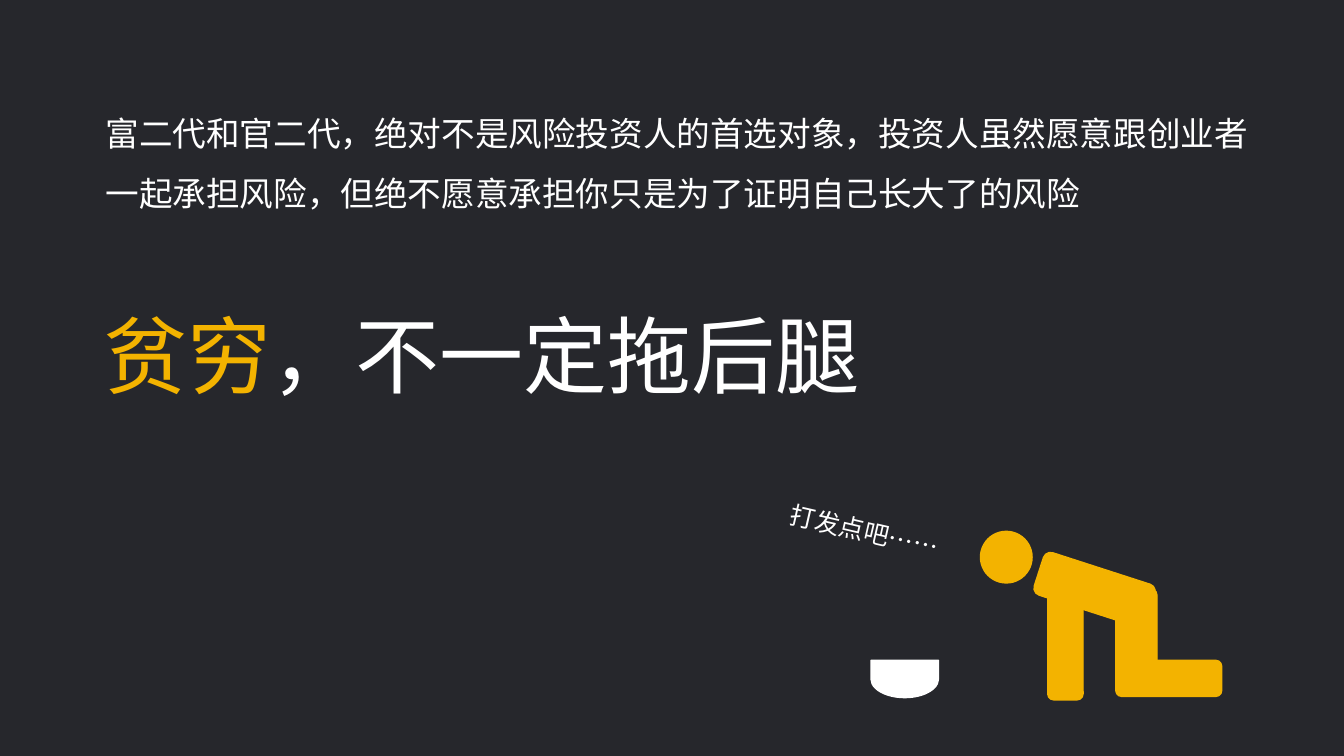
from dataclasses import dataclass

from lxml.etree import SubElement
from pptx import Presentation
from pptx.dml.color import RGBColor
from pptx.enum.shapes import MSO_SHAPE as Preset
from pptx.enum.text import MSO_AUTO_SIZE as AutoSize
from pptx.oxml.ns import qn
from pptx.slide import Slide
from pptx.util import Cm, Pt

COLORS = {"night": "26272C", "amber": "F3B300", "white": "FFFFFF"}
FONT = "Noto Sans CJK SC"


@dataclass(frozen=True)
class Box:
    left: float
    top: float
    width: float
    height: float
    rotation: float = 0

    def lengths(self) -> tuple[Cm, Cm, Cm, Cm]:
        return Cm(self.left), Cm(self.top), Cm(self.width), Cm(self.height)


@dataclass(frozen=True)
class Part:
    preset: Preset
    box: Box
    color: str = "amber"


@dataclass(frozen=True)
class Words:
    text: str
    color: str = "white"


@dataclass(frozen=True)
class Caption:
    box: Box
    size: int
    paragraphs: list[list[Words]]
    spacing: float = 1.0


BEGGAR = [
    Part(Preset.OVAL, Box(24.71, 13.39, 1.3, 1.3)),
    Part(Preset.ROUNDED_RECTANGLE, Box(26.11, 14.3, 2.95, 1.12, 17.9)),
    Part(Preset.ROUNDED_RECTANGLE, Box(28.12, 14.83, 1.04, 2.41)),
    Part(Preset.ROUNDED_RECTANGLE, Box(28.12, 16.64, 2.67, 0.91)),
    Part(Preset.ROUNDED_RECTANGLE, Box(25.48, 15.82, 2.74, 0.89, 270)),
]
BOWL = Part(Preset.FLOWCHART_DELAY, Box(22.33, 16.26, 0.94, 1.7, 90), "white")

ARGUMENT = Caption(
    Box(2.41, 2.21, 29.59, 3.1),
    24,
    [
        [Words("富二代和官二代，绝对不是风险投资人的首选对象，投资人虽然愿意跟创业者")],
        [Words("一起承担风险，但绝不愿意承担你只是为了证明自己长大了的风险")],
    ],
    1.5,
)
HEADLINE = Caption(
    Box(2.36, 7.52, 19.76, 2.82),
    60,
    [[Words("贫穷", "amber"), Words("，不一定拖后腿")]],
)
PLEA = Caption(Box(19.63, 12.88, 4.37, 1.02, 13.1), 18, [[Words("打发点吧……")]])


def rgb(color: str) -> RGBColor:
    return RGBColor.from_string(COLORS[color])


def draw_part(slide: Slide, part: Part) -> None:
    figure = slide.shapes.add_shape(part.preset, *part.box.lengths())
    figure.rotation = part.box.rotation
    figure.shadow.inherit = False
    figure.fill.solid()
    figure.fill.fore_color.rgb = rgb(part.color)
    figure.line.color.rgb = rgb(part.color)
    figure.line.width = Pt(1)


def write_caption(slide: Slide, caption: Caption) -> None:
    holder = slide.shapes.add_textbox(*caption.box.lengths())
    holder.rotation = caption.box.rotation
    frame = holder.text_frame
    frame.word_wrap = False
    frame.auto_size = AutoSize.SHAPE_TO_FIT_TEXT
    for index, pieces in enumerate(caption.paragraphs):
        paragraph = frame.add_paragraph() if index else frame.paragraphs[0]
        paragraph.line_spacing = caption.spacing
        for words in pieces:
            run = paragraph.add_run()
            run.text = words.text
            run.font.size = Pt(caption.size)
            run.font.color.rgb = rgb(words.color)
            run.font.name = FONT
            SubElement(run.font._element, qn("a:ea"), typeface=FONT)


def main() -> None:
    deck = Presentation()
    deck.slide_width, deck.slide_height = Cm(33.87), Cm(19.05)
    slide = deck.slides.add_slide(deck.slide_layouts[6])
    slide.background.fill.solid()
    slide.background.fill.fore_color.rgb = rgb("night")
    for caption in (ARGUMENT, HEADLINE):
        write_caption(slide, caption)
    for part in [*BEGGAR, BOWL]:
        draw_part(slide, part)
    write_caption(slide, PLEA)
    deck.save("out.pptx")


if __name__ == "__main__":
    main()
